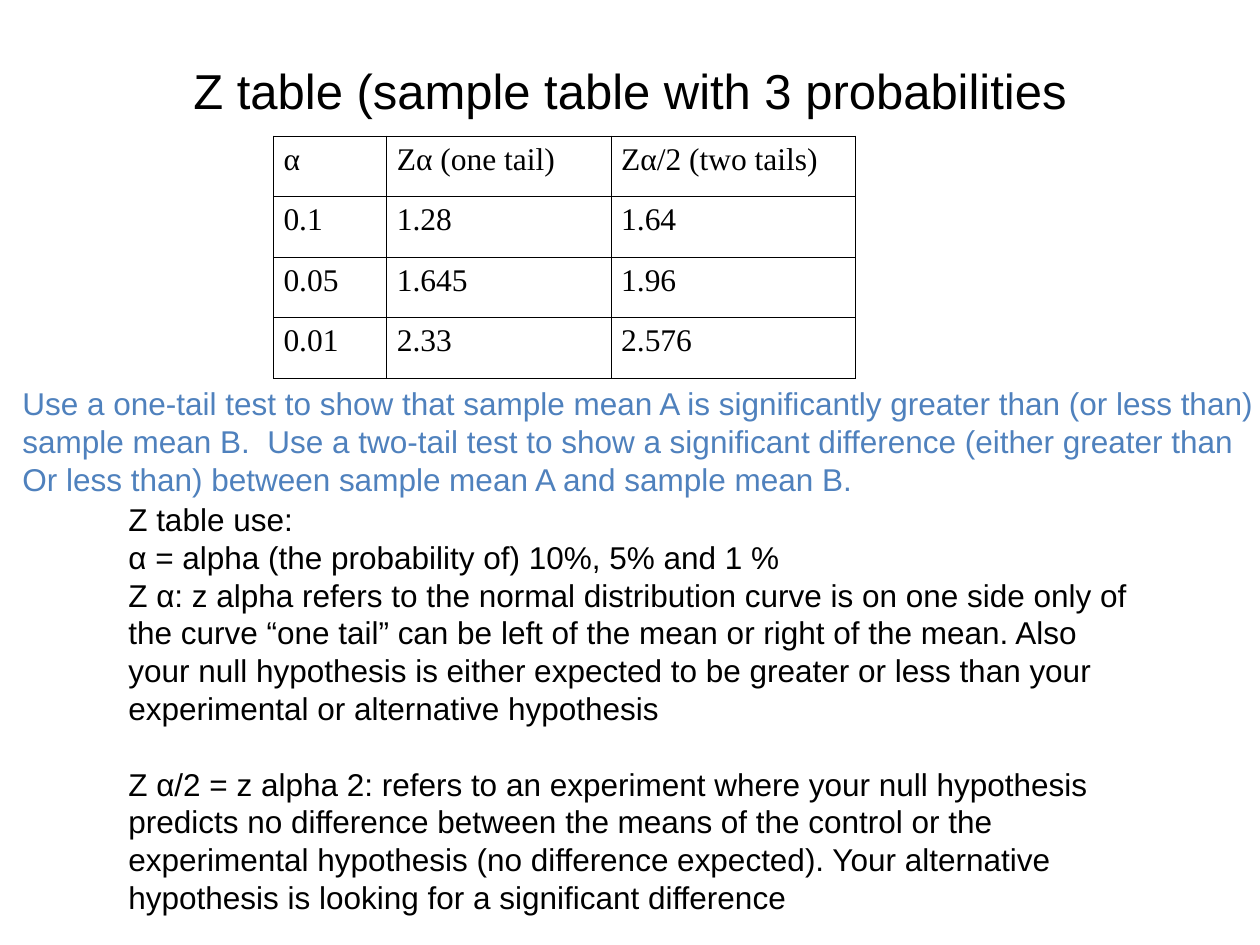
import dataclasses

import lxml.etree
import pptx
import pptx.dml.color
import pptx.enum.text
import pptx.oxml.ns
import pptx.util

WIDE, HIGH = pptx.util.Inches(10), pptx.util.Inches(7.5)
COLS, ROWS = 100, 75
INK, BLUE = "000000", "4F81BD"
ALIGN = pptx.enum.text.PP_ALIGN
FIT = pptx.enum.text.MSO_AUTO_SIZE


@dataclasses.dataclass
class Block:
    """A text block, placed in columns and rows of the slide grid."""
    left: float
    top: float
    width: float
    height: float
    lines: list[str]
    size: int = 18
    color: str = INK
    align: ALIGN = ALIGN.LEFT
    wrap: bool = True
    inset: float = 0.5
    gaps: dict[int, float] = dataclasses.field(default_factory=dict)


TITLE = Block(5, 3, 90, 12.5, ["Z table (sample table with 3 probabilities"],
              size=28, align=ALIGN.CENTER, inset=1.8)
USE = Block(9.2, 39.2, 82.5, 40, [
    "Z table use:",
    "α = alpha (the probability of) 10%, 5% and 1 %",
    "Z α: z alpha refers to the normal distribution curve is on one side only "
    "of the curve “one tail” can be left of the mean or right of the mean. "
    "Also your null hypothesis is either expected to be greater or less than "
    "your experimental or alternative hypothesis",
    "Z α/2 = z alpha 2: refers to an experiment where your null hypothesis "
    "predicts no difference between the means of the control or the "
    "experimental hypothesis (no difference expected). Your alternative "
    "hypothesis is looking for a significant difference",
], gaps={3: 21.6})
TESTS = Block(0.8, 30, 100.6, 10, [
    "Use a one-tail test to show that sample mean A is significantly greater "
    "than (or less than)",
    "sample mean B.  Use a two-tail test to show a significant difference "
    "(either greater than",
    "Or less than) between sample mean A and sample mean B.",
], color=BLUE, wrap=False)

SCORES = [
    ["α", "Zα (one tail)", "Zα/2 (two tails)"],
    ["0.1", "1.28", "1.64"],
    ["0.05", "1.645", "1.96"],
    ["0.01", "2.33", "2.576"],
]
SPANS = [9, 17.8, 19.4]
STEP = 4.8


def across(cols: float) -> int:
    return round(WIDE * cols / COLS)


def down(rows: float) -> int:
    return round(HIGH * rows / ROWS)


def paint(fill, color: str) -> None:
    fill.rgb = pptx.dml.color.RGBColor.from_string(color)


def style(para, face: str, size: int, color: str) -> None:
    for run in para.runs:
        run.font.name = face
        run.font.size = pptx.util.Pt(size)
        paint(run.font.color, color)


def write(slide, block: Block) -> None:
    box = slide.shapes.add_textbox(across(block.left), down(block.top),
                                   across(block.width), down(block.height))
    frame = box.text_frame
    frame.word_wrap = block.wrap
    frame.auto_size = FIT.NONE
    frame.margin_top = down(block.inset)
    frame.text = "\n".join(block.lines)
    for index, para in enumerate(frame.paragraphs):
        para.alignment = block.align
        if index in block.gaps:
            para.space_before = pptx.util.Pt(block.gaps[index])
        style(para, "Arial", block.size, block.color)


def edge(cell, color: str, width: float) -> None:
    """Draw a solid line on all four sides of a cell."""
    props = cell._tc.get_or_add_tcPr()
    name = pptx.oxml.ns.qn
    for side in ("a:lnL", "a:lnR", "a:lnT", "a:lnB"):
        line = lxml.etree.SubElement(props, name(side),
                                     w=str(pptx.util.Pt(width)))
        fill = lxml.etree.SubElement(line, name("a:solidFill"))
        lxml.etree.SubElement(fill, name("a:srgbClr"), val=color)


def chart(slide, left: float, top: float) -> None:
    """Add the table of z scores."""
    table = slide.shapes.add_table(
        len(SCORES), len(SPANS), across(left), down(top),
        across(sum(SPANS)), down(STEP * len(SCORES))).table
    table.first_row = table.horz_banding = False
    for col, span in zip(table.columns, SPANS):
        col.width = across(span)
    for row, texts in zip(table.rows, SCORES):
        row.height = down(STEP)
        for cell, text in zip(row.cells, texts):
            cell.text_frame.text = text
            cell.margin_left = cell.margin_right = across(0.8)
            cell.margin_top = cell.margin_bottom = down(0.5)
            style(cell.text_frame.paragraphs[0], "Times New Roman", 18, INK)
            edge(cell, INK, 0.45)
            cell.fill.background()


def main() -> None:
    deck = pptx.Presentation()
    deck.slide_width, deck.slide_height = WIDE, HIGH
    slide = deck.slides.add_slide(deck.slide_layouts[6])
    write(slide, TITLE)
    chart(slide, 21.7, 10.8)
    write(slide, USE)
    write(slide, TESTS)
    deck.save("out.pptx")


if __name__ == "__main__":
    main()
